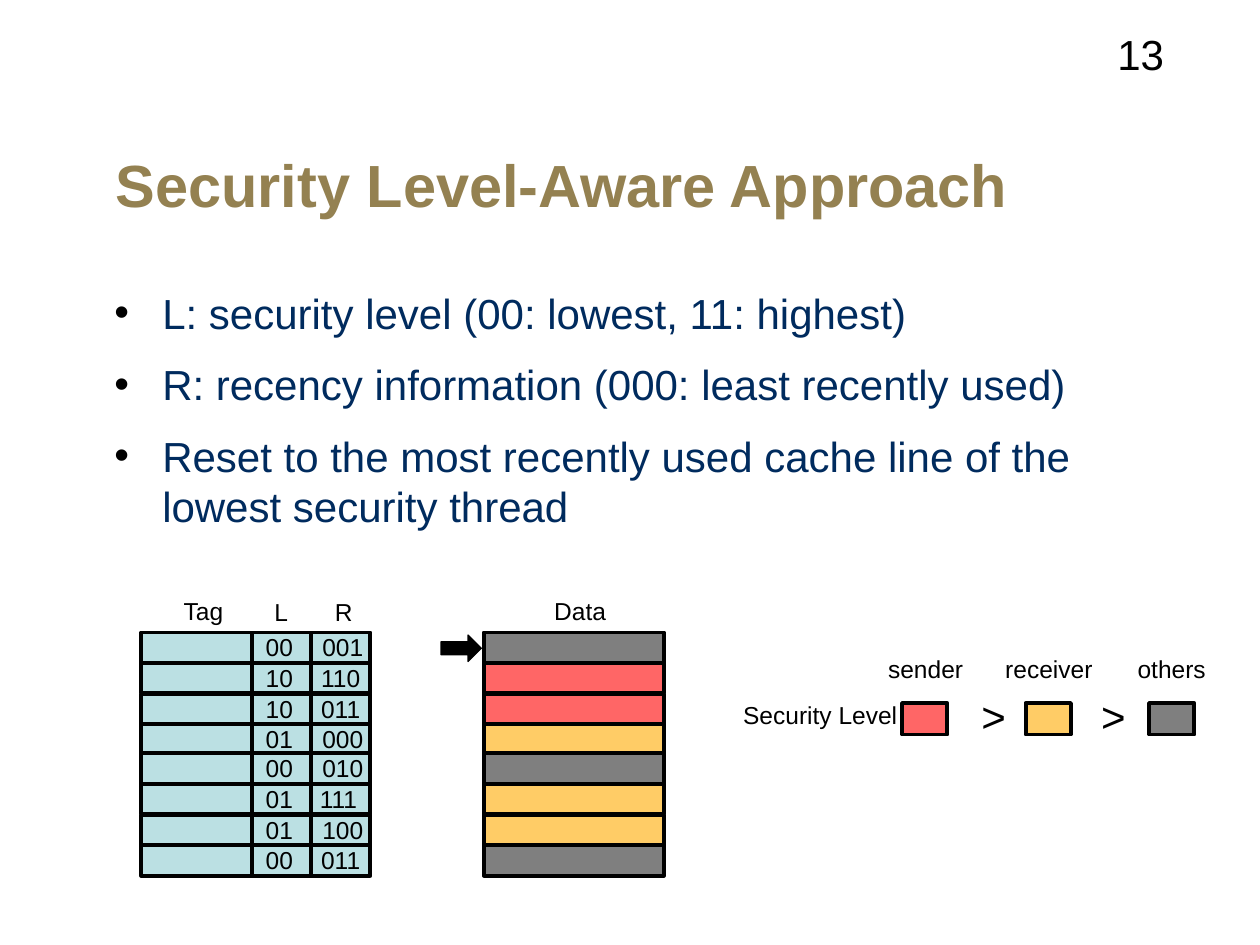
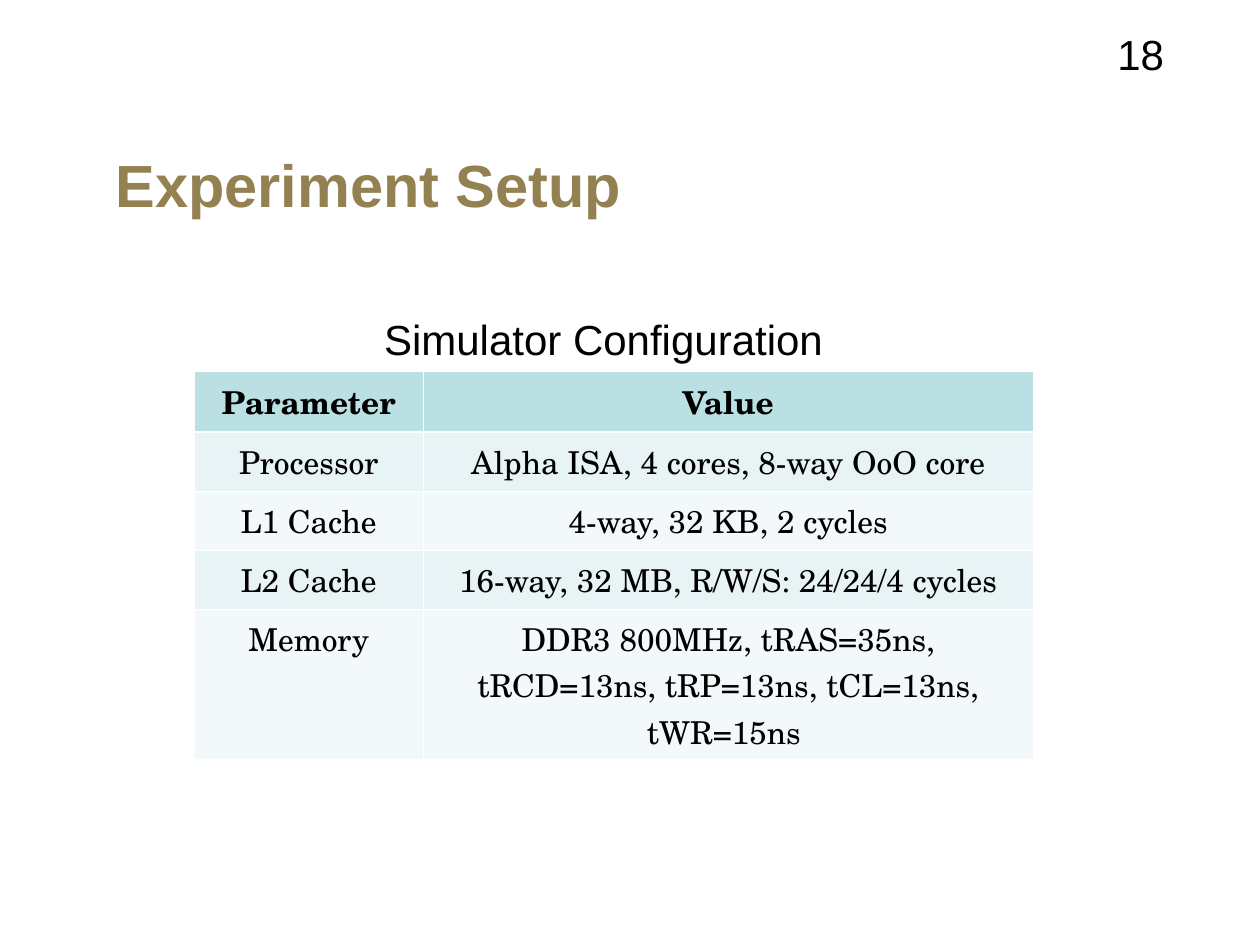
from lxml import etree
from pptx import Presentation
from pptx import util as u
from pptx.dml.color import RGBColor
from pptx.enum import shapes, text
from pptx.oxml import ns

PX = 9144
COLORS = {
    "black": "000000", "white": "FFFFFF", "title": "948151", "body": "002B5E",
    "tag": "BBE0E3", "sender": "FF6666", "receiver": "FFCC66", "others": "7F7F7F",
    "odd": "E7F3F4", "even": "F3F9FA",
}
SHAPE = shapes.MSO_SHAPE
ALIGN = text.PP_ALIGN


def px(*lengths):
    return [u.Emu(length * PX) for length in lengths]


def rgb(name):
    return RGBColor.from_string(COLORS[name])


def apply(target, values):
    for key, value in values.items():
        setattr(target, key, value)


def sub(parent, tag, **attributes):
    return etree.SubElement(parent, ns.qn(tag), **attributes)


class Deck:
    def __init__(self):
        self.prs = Presentation()
        apply(self.prs, dict(zip(("slide_width", "slide_height"), px(1000, 750))))
        self.slide = None

    def style(self, paragraph, size, color="black", font="Arial", bold=False, **spacing):
        apply(paragraph.font, {"size": u.Pt(size), "name": font, "bold": bold})
        paragraph.font.color.rgb = rgb(color)
        apply(paragraph, {"alignment": ALIGN.LEFT, **spacing})

    def page(self, heading, number):
        self.slide = self.prs.slides.add_slide(self.prs.slide_layouts[5])
        title = self.slide.shapes.title
        apply(title, dict(zip(("left", "top", "width", "height"), px(82, 100, 867, 92))))
        title.text_frame.text = heading
        apply(title.text_frame, {"auto_size": text.MSO_AUTO_SIZE.NONE,
                                 "vertical_anchor": text.MSO_ANCHOR.MIDDLE})
        self.style(title.text_frame.paragraphs[0], 34, "title", bold=True)
        self.label(number, 877, 18, 172, 50, 24)

    def label(self, words, left, top, width, height=34, size=14):
        frame = self.slide.shapes.add_textbox(*px(left, top, width, height)).text_frame
        frame.text = words
        apply(frame, {"word_wrap": False, "auto_size": text.MSO_AUTO_SIZE.SHAPE_TO_FIT_TEXT})
        self.style(frame.paragraphs[0], size)

    def block(self, color, left, top, width, height, kind=SHAPE.RECTANGLE, line=2.25):
        block = self.slide.shapes.add_shape(kind, *px(left, top, width, height))
        block.shadow.inherit = False
        block.fill.solid()
        block.fill.fore_color.rgb = rgb(color)
        block.line.color.rgb = rgb("black")
        block.line.width = u.Pt(line)

    def bullets(self, points, left, top, width, height):
        frame = self.slide.shapes.add_textbox(*px(left, top, width, height)).text_frame
        frame.word_wrap = True
        frame.text = "\n".join(points)
        for paragraph in frame.paragraphs:
            self.style(paragraph, 24, "body", space_before=u.Pt(6), space_after=u.Pt(6))
            properties = paragraph._p.get_or_add_pPr()
            properties.set("marL", str(38 * PX))
            properties.set("indent", str(-38 * PX))
            sub(sub(properties, "a:buClr"), "a:srgbClr", val=COLORS["black"])
            sub(properties, "a:buFont", typeface="Arial")
            sub(properties, "a:buChar", char="•")

    def borders(self, cell, row):
        thick = {0: "a:lnB", 1: "a:lnT"}.get(row)
        for side in ("a:lnL", "a:lnR", "a:lnT", "a:lnB"):
            width = u.Pt(1.47 if side == thick else 0.45)
            line = sub(cell._tc.get_or_add_tcPr(), side, w=str(width))
            sub(sub(line, "a:solidFill"), "a:srgbClr", val=COLORS["white"])

    def table(self, rows, left, top, widths, heights):
        frame = self.slide.shapes.add_table(
            len(rows), len(widths), *px(left, top, sum(widths), sum(heights)))
        table = frame.table
        for column, width in zip(table.columns, px(*widths)):
            column.width = width
        for row, height in zip(table.rows, px(*heights)):
            row.height = height
        for r, row in enumerate(rows):
            for c, words in enumerate(row):
                cell = table.cell(r, c)
                cell.text = words
                self.borders(cell, r)
                cell.fill.solid()
                cell.fill.fore_color.rgb = rgb("tag" if r == 0 else "odd" if r % 2 else "even")
                self.style(cell.text_frame.paragraphs[0], 18, font="TeX Gyre Schola",
                           bold=r == 0, alignment=ALIGN.CENTER)


def security_levels(deck):
    deck.page("Security Level-Aware Approach", "13")
    for heading, left, top, width in (("Tag", 136, 468, 56), ("L", 208, 469, 34),
                                      ("R", 256, 469, 37), ("Data", 430, 468, 64)):
        deck.label(heading, left, top, width)

    cache_lines = (
        ("00", "001", "others"), ("10", "110", "sender"), ("10", "011", "sender"),
        ("01", "000", "receiver"), ("00", "010", "others"), ("01", "111", "receiver"),
        ("01", "100", "receiver"), ("00", "011", "others"),
    )
    half_tops = (502, 598)
    for i, (level, recency, owner) in enumerate(cache_lines):
        half, row = divmod(i, 4)
        top = round(half_tops[half] + row * 73 / 3)
        deck.block("tag", 112, top, 88, 24)
        deck.block(owner, 384, top, 143, 24)
        deck.block("tag", 200, top, 47, 24)
        deck.label(level, 201, top - 5, 45)
        deck.block("tag", 247, top, 47, 24)
        kerning = max(0, recency.count("1") - 1)
        deck.label(recency, 246 - kerning, top - 5, 56)
    deck.block("black", 350, 504, 32, 21, SHAPE.RIGHT_ARROW, 0.75)

    legend = (("sender", 695, 83), ("receiver", 788, 93), ("others", 893, 78))
    for i, (owner, left, width) in enumerate(legend):
        deck.label(owner, left, 514, width)
        deck.block(owner, 716 + 98 * i, 558, 36, 25)
    for left in (769, 864):
        deck.label(">", left, 543, 42, 50, 24)
    deck.label("Security Level", 580, 551, 146)

    deck.bullets((
        "L: security level (00: lowest, 11: highest)",
        "R: recency information (000: least recently used)",
        "Reset to the most recently used cache line of the lowest security thread",
    ), 81, 223, 867, 206)


def experiment_setup(deck):
    deck.page("Experiment Setup", "18")
    deck.table((
        ("Parameter", "Value"),
        ("Processor", "Alpha ISA, 4 cores, 8-way OoO core"),
        ("L1 Cache", "4-way, 32 KB, 2 cycles"),
        ("L2 Cache", "16-way, 32 MB, R/W/S: 24/24/4 cycles"),
        ("Memory", "DDR3 800MHz, tRAS=35ns, tRCD=13ns, tRP=13ns, tCL=13ns, tWR=15ns "),
    ), 154, 295, (182, 484), (48, 47, 47, 47, 119))
    deck.label("Simulator Configuration", 295, 244, 372, 50, 24)


def main():
    deck = Deck()
    security_levels(deck)
    experiment_setup(deck)
    deck.prs.save("out.pptx")


if __name__ == "__main__":
    main()
